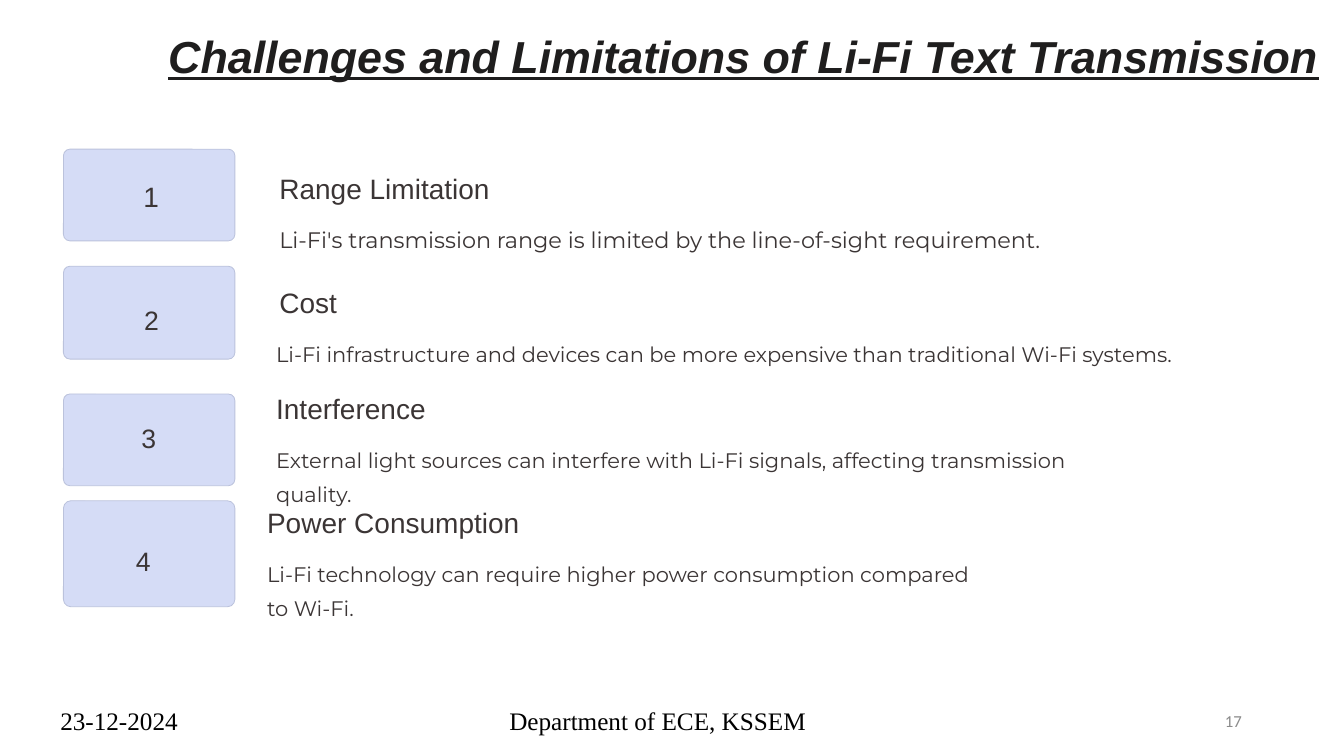
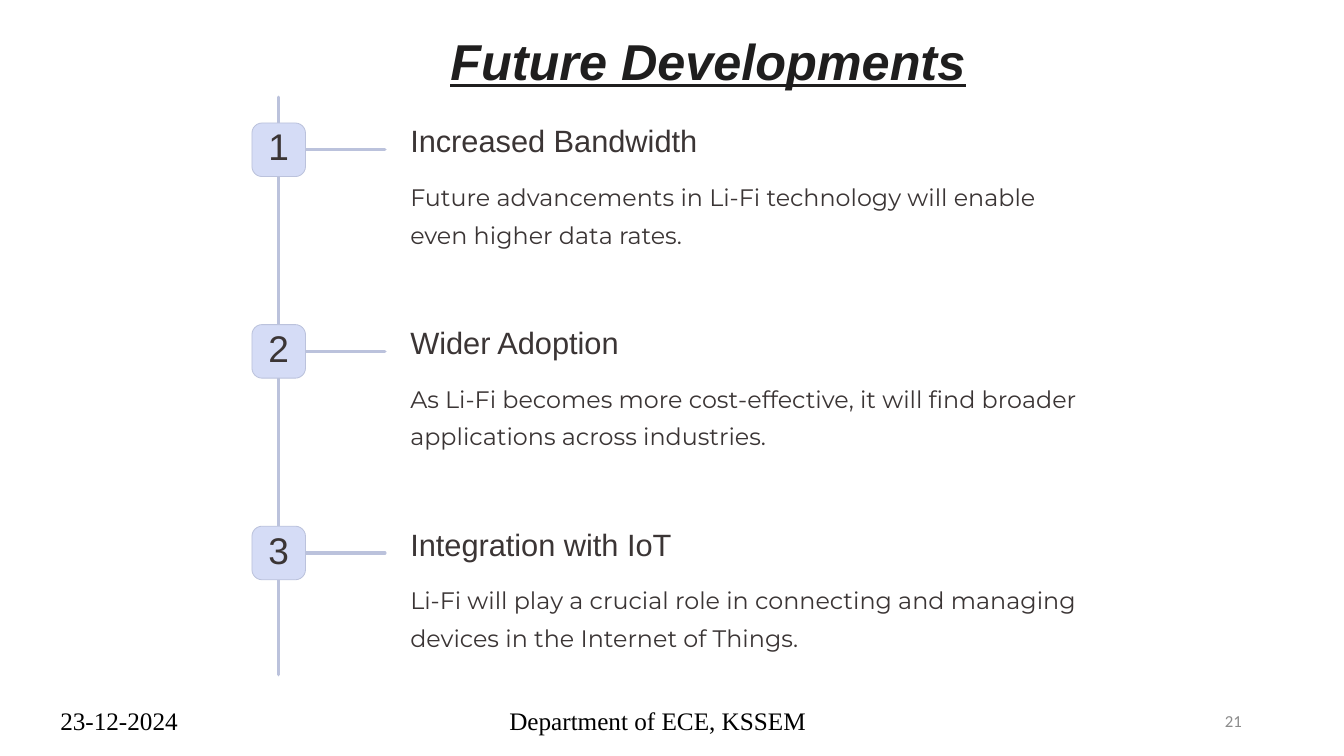
from dataclasses import dataclass

from lxml import etree
from pptx import Presentation
from pptx.dml.color import RGBColor
from pptx.enum import shapes, text
from pptx.oxml.ns import qn
from pptx.util import Cm, Pt


@dataclass(frozen=True)
class Theme:
    title: str = "1F1E1E"
    ink: str = "3B3535"
    badge: str = "D5DCF6"
    rule: str = "BBC2DC"
    footer: str = "000000"
    number: str = "8B8B8B"
    sans: str = "Arial"
    body: str = "Montserrat"
    serif: str = "Times New Roman"
    plain: str = "Calibri"
    footer_size: float = 18
    page_size: float = 12
    rule_width: float = 2.4


theme = Theme()
LEFT, CENTER, RIGHT = text.PP_ALIGN.LEFT, text.PP_ALIGN.CENTER, text.PP_ALIGN.RIGHT


def write(page, words, area, size, font=theme.sans, color=theme.ink,
          spacing=None, align=LEFT, badge_corner=None):
    """Add one paragraph; with badge_corner it sits in a rounded badge."""
    place = [Cm(length) for length in area]
    if badge_corner is None:
        box = page.shapes.add_textbox(*place)
    else:
        box = page.shapes.add_shape(shapes.MSO_SHAPE.ROUNDED_RECTANGLE, *place)
        box.adjustments[0] = badge_corner
        box.shadow.inherit = False
        box.fill.solid()
        box.fill.fore_color.rgb = RGBColor.from_string(theme.badge)
        box.line.color.rgb = RGBColor.from_string(theme.rule)
        box.line.width = Pt(0.6)
    frame = box.text_frame
    frame.word_wrap = True
    frame.margin_left = frame.margin_right = 0
    frame.margin_top = frame.margin_bottom = 0
    if badge_corner is not None or spacing is None:
        frame.vertical_anchor = text.MSO_ANCHOR.MIDDLE
    para = frame.paragraphs[0]
    para.alignment = align
    if spacing:
        para.line_spacing = Pt(spacing)
    if words:
        span = para.add_run()
        span.text = words
        span.font.size = Pt(size)
        span.font.name = font
        span.font.color.rgb = RGBColor.from_string(color)
        return span


def rule(page, x1, y1, x2, y2):
    """Draw a round-ended line."""
    line = page.shapes.add_connector(
        shapes.MSO_CONNECTOR.STRAIGHT, Cm(x1), Cm(y1), Cm(x2), Cm(y2))
    line.line.color.rgb = RGBColor.from_string(theme.rule)
    line.line.width = Pt(theme.rule_width)
    properties = line.element.spPr
    properties.find(qn("a:ln")).set("cap", "rnd")
    etree.SubElement(properties, qn("a:effectLst"))


deck = Presentation()
deck.slide_width, deck.slide_height = Cm(33.87), Cm(19.05)

# Pages with their shared title and footer
titles = [
    ("Challenges and Limitations of Li-Fi Text Transmission", "17",
     (4.24, 0.3, 29.6, 2.31), 32, 50.5, LEFT),
    ("Future Developments", "21", (5.13, 0.3, 25.43, 2.11), 36, 56, CENTER),
]
pages = []
for title, number, area, size, spacing, align in titles:
    page = deck.slides.add_slide(deck.slide_layouts[6])
    pages.append(page)
    span = write(page, title, area, size, color=theme.title, spacing=spacing, align=align)
    span.font.bold = span.font.italic = span.font.underline = True
    write(page, "23-12-2024", (1.52, 17.65, 5.4, 1.02), theme.footer_size,
          theme.serif, theme.footer)
    write(page, "Department of ECE, KSSEM", (12.55, 17.65, 8.05, 1.02),
          theme.footer_size, theme.serif, theme.footer, align=CENTER)
    write(page, number, (23.93, 17.65, 7.37, 1.02), theme.page_size,
          theme.plain, theme.number, align=RIGHT)
challenges, future = pages

# Challenges: badge top and height, number centre, top and size,
# heading left and top, body left, width and size
rows = [
    ("Range Limitation",
     "Li-Fi's transmission range is limited by the line-of-sight requirement.",
     (3.76, 2.31), (3.81, 4.29, 20), (7.04, 4.29), (7.04, 21, 16)),
    ("Cost",
     "Li-Fi infrastructure and devices can be more expensive than traditional Wi-Fi systems.",
     (6.71, 2.34), (3.82, 7.39, 19), (7.04, 7.16), (6.96, 24, 15)),
    ("Interference",
     "External light sources can interfere with Li-Fi signals, affecting transmission quality.",
     (9.93, 2.31), (3.75, 10.36, 19), (6.96, 9.83), (6.96, 20.14, 15)),
    ("Power Consumption",
     "Li-Fi technology can require higher power consumption compared to Wi-Fi.",
     (12.62, 2.67), (3.61, 13.46, 19), (6.73, 12.7), (6.73, 18.08, 15)),
]
for index, (heading, body, badge, number, head, detail) in enumerate(rows, 1):
    badge_top, badge_height = badge
    center, number_top, number_size = number
    head_left, head_top = head
    body_left, body_width, body_size = detail
    write(challenges, "", (1.6, badge_top, 4.32, badge_height), 0, badge_corner=0.07)
    write(challenges, str(index), (center - 0.5, number_top, 1, 1), number_size,
          spacing=30.5, align=CENTER)
    write(challenges, heading, (head_left, head_top, 8, 0.8), 20, spacing=25)
    write(challenges, body, (body_left, head_top + 1.21, body_width, 0.8), body_size,
          theme.body, spacing=24.5)

# Future developments: a timeline with evenly spaced steps
steps = [
    ("Increased Bandwidth",
     "Future advancements in Li-Fi technology will enable even higher data rates."),
    ("Wider Adoption",
     "As Li-Fi becomes more cost-effective, it will find broader applications across industries."),
    ("Integration with IoT",
     "Li-Fi will play a crucial role in connecting and managing devices in the Internet of Things."),
]
badge_left, badge_side, first_top, step_gap = 6.35, 1.35, 3.1, 5.08
stem = badge_left + badge_side / 2
rule(future, stem, 2.45, stem, 17)
for index, (heading, body) in enumerate(steps):
    top = first_top + index * step_gap
    middle = top + badge_side / 2
    rule(future, badge_left + badge_side, middle, 9.7, middle)
    write(future, str(index + 1), (badge_left, top, badge_side, badge_side), 26.5,
          spacing=26.5, align=CENTER, badge_corner=0.19)
    write(future, heading, (10.34, top - 0.08, 8.6, 1), 22, spacing=28)
    write(future, body, (10.34, top + 1.27, 16.97, 1.93), 17, theme.body, spacing=27)

deck.save("out.pptx")
